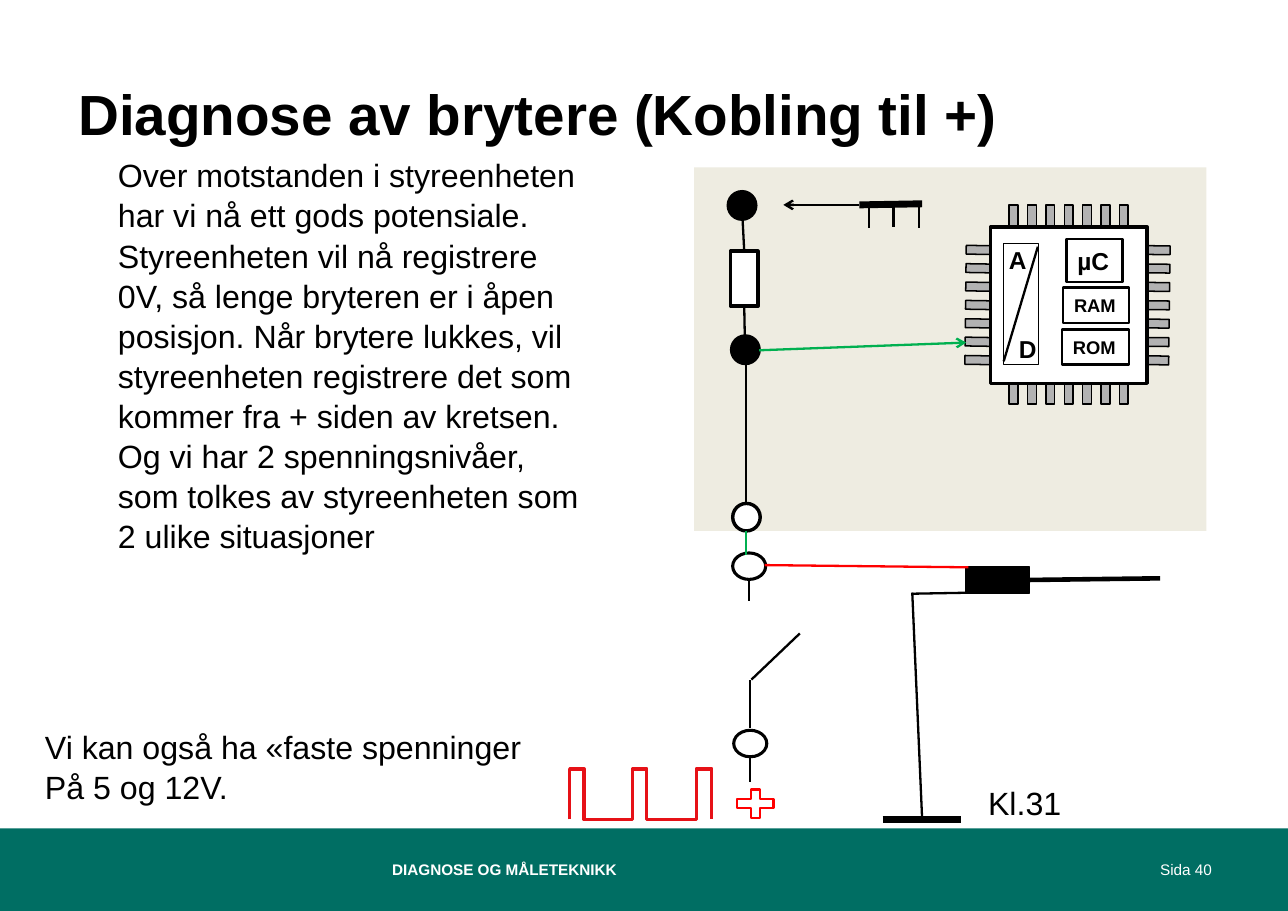
import pptx
import pptx.util
import pptx.dml.color
import pptx.enum.shapes
import pptx.enum.text
import lxml.etree

SHAPE = pptx.enum.shapes.MSO_SHAPE
ALIGN = pptx.enum.text.PP_ALIGN
ANCHOR = pptx.enum.text.MSO_ANCHOR
A = "{http://schemas.openxmlformats.org/drawingml/2006/main}"

# Content; one grid column or row is one inch
COLS, ROWS = 11.69, 8.27
TITLE = "Diagnose av brytere (Kobling til +)"
BODY = [
    "Over motstanden i styreenheten har vi nå ett gods potensiale.",
    "Styreenheten vil nå registrere 0V, så lenge bryteren er i åpen posisjon. "
    "Når brytere lukkes, vil styreenheten registrere det som kommer fra + siden "
    "av kretsen. Og vi har 2 spenningsnivåer, som tolkes av styreenheten som "
    "2 ulike situasjoner",
]
NOTE = ["Vi kan også ha «faste spenninger", "På 5 og 12V."]
FOOTER = "DIAGNOSE OG MÅLETEKNIKK"
PAGE = "Sida 40"
GROUND = "Kl.31"

THEME = {
    "font": "Arial", "ink": "000000", "paper": "FFFFFF", "band": "006E63",
    "panel": "EEECE1", "pin": "B2B2B2", "pulse": "E61117", "plus": "FF0000",
    "signal": "00B050",
    "title": 37, "text": 21, "chip": 16, "memory": 12, "footer": 10,
}

CHIP_BOXES = [  # box, line width, text, type size
    ((8.99, 2.06, 1.42, 1.42), 2.25, "", "chip"),
    ((9.11, 2.21, 0.32, 1.1), 0.75, "", "chip"),
    ((9.68, 2.17, 0.51, 0.39), 1.5, "µC", "chip"),
    ((9.65, 2.61, 0.6, 0.32), 1.5, "RAM", "memory"),
    ((9.64, 2.99, 0.61, 0.32), 1.5, "ROM", "memory"),
]
CHIP_LETTERS = [("A", (9.06, 2.18, 0.4, 0.37)), ("D", (9.15, 2.98, 0.3, 0.37))]
PINS, PIN_STEP, PIN_W, PIN_H = 7, 1 / 6, 0.08, 0.42
PIN_ROWS = [1.86, 3.25]
PIN_SIDES = [(10.37, 270.7), (8.94, 270.9)]

TERMINALS = [  # box, fill, line width
    ((6.61, 1.74, 0.25, 0.25), "ink", 2.25),
    ((6.64, 3.05, 0.25, 0.25), "ink", 2.25),
    ((6.65, 4.57, 0.25, 0.25), "paper", 2.25),
    ((6.65, 5.02, 0.3, 0.24), "paper", 2),
    ((6.66, 6.63, 0.3, 0.24), "paper", 2),
]
RESISTOR = (6.63, 2.28, 0.25, 0.5)
SENSOR = (8.76, 5.14, 0.58, 0.25)
WIRES = [  # from, to, colour, width, arrow
    ((6.77, 3.31), (6.77, 4.57), "ink", 1.5, False),
    ((8.01, 7.44), (8.72, 7.44), "ink", 4.5, False),
    ((6.81, 6.86), (6.81, 7.1), "ink", 1.5, False),
    ((8.83, 5.38), (8.28, 5.39), "ink", 1.5, False),
    ((8.79, 5.15), (6.94, 5.13), "plus", 1.5, False),
    ((8.28, 5.38), (8.37, 7.44), "ink", 1.5, False),
    ((6.89, 3.18), (8.77, 3.11), "signal", 1.5, True),
    ((6.77, 4.82), (6.77, 5.04), "signal", 1.5, False),
    ((7.8, 1.86), (7.11, 1.86), "ink", 1.5, True),
    ((6.81, 6.61), (6.81, 6.17), "ink", 1.5, False),
    ((6.82, 6.17), (7.26, 5.75), "ink", 1.5, False),
    ((6.8, 5.25), (6.8, 5.46), "ink", 1.5, False),
    ((7.8, 1.86), (8.37, 1.85), "ink", 4.5, False),
    ((8.11, 2.06), (8.11, 1.85), "ink", 1.5, False),
    ((7.89, 1.84), (7.89, 2.07), "ink", 1.5, False),
    ((8.34, 1.86), (8.34, 2.07), "ink", 1.5, False),
]
PULSES = [(5.17, 5.3), (5.74, 5.87), (6.32, 6.46)]
PULSE_TOP, PULSE_BASE = 6.98, 7.44


def grid(values):
    return [pptx.util.Inches(v) for v in values]


def rgb(name):
    return pptx.dml.color.RGBColor.from_string(THEME[name])


def put_text(sp, lines, size, color="ink", bold=False, align=ALIGN.LEFT,
             anchor=ANCHOR.TOP, spacing=1.0, insets=(0.1, 0.05, 0.1, 0.05)):
    tf = sp.text_frame
    left, top, right, bottom = grid(insets)
    frame = {"word_wrap": True, "vertical_anchor": anchor, "margin_left": left,
             "margin_top": top, "margin_right": right, "margin_bottom": bottom,
             "auto_size": pptx.enum.text.MSO_AUTO_SIZE.NONE}
    for name, value in frame.items():
        setattr(tf, name, value)
    for i, line in enumerate(lines):
        p = tf.add_paragraph() if i else tf.paragraphs[0]
        pPr = p._p.get_or_add_pPr()
        pPr.set("marL", "0")
        pPr.set("indent", "0")
        lxml.etree.SubElement(pPr, A + "buNone")
        layout = {"alignment": align, "line_spacing": spacing,
                  "space_before": pptx.util.Pt(0)}
        for name, value in layout.items():
            setattr(p, name, value)
        r = p.add_run()
        r.text = line
        font = {"name": THEME["font"], "size": pptx.util.Pt(THEME[size]), "bold": bold}
        for name, value in font.items():
            setattr(r.font, name, value)
        r.font.color.rgb = rgb(color)


def add_text(shapes, box, lines, size, **style):
    put_text(shapes.add_textbox(*grid(box)), lines, size, **style)


def set_line(line, color, width):
    line.color.rgb = rgb(color)
    line.width = pptx.util.Pt(width)


def add_figure(shapes, kind, box, fill=None, line=None, width=1.0):
    sp = shapes.add_shape(kind, *grid(box))
    sp.shadow.inherit = False
    if fill:
        sp.fill.solid()
        sp.fill.fore_color.rgb = rgb(fill)
    else:
        sp.fill.background()
    if line:
        set_line(sp.line, line, width)
    else:
        sp.line.fill.background()
    return sp


def add_wire(shapes, start, end, color="ink", width=1.5, arrow=False):
    wire = shapes.add_connector(pptx.enum.shapes.MSO_CONNECTOR.STRAIGHT,
                                *grid(start + end))
    set_line(wire.line, color, width)
    if arrow:
        lxml.etree.SubElement(wire.line._get_or_add_ln(), A + "tailEnd", type="arrow")
    lxml.etree.SubElement(wire._element.spPr, A + "effectLst")
    return wire


def add_chip(shapes):
    chip = shapes.add_group_shape().shapes
    pins = [(9.16 + i * PIN_STEP, y, 0) for y in PIN_ROWS for i in range(PINS)]
    pins += [(x - i / 500, 2.06 + i * PIN_STEP, turn)
             for x, turn in PIN_SIDES for i in range(PINS)]
    for x, y, turn in pins:
        pin = add_figure(chip, SHAPE.RECTANGLE, (x, y, PIN_W, PIN_H), "pin", "ink")
        pin.rotation = turn
    for box, width, text, size in CHIP_BOXES:
        sp = add_figure(chip, SHAPE.RECTANGLE, box, "paper", "ink", width)
        if text:
            put_text(sp, [text], size, bold=True, anchor=ANCHOR.MIDDLE,
                     insets=(0.1, 0.05, 0, 0.05))
    for letter, box in CHIP_LETTERS:
        add_text(chip, box, [letter], "chip", bold=True, insets=(0.1, 0.05, 0, 0.05))
    add_wire(chip, (9.42, 2.24), (9.11, 3.28))


def add_pulses(shapes):
    points = [pt for up, down in PULSES
              for pt in ((up, PULSE_BASE), (up, PULSE_TOP),
                         (down, PULSE_TOP), (down, PULSE_BASE))]
    points = [tuple(grid(pt)) for pt in points]
    outline = shapes.build_freeform(*points[0], scale=1.0)
    outline.add_line_segments(points[1:], close=False)
    sp = outline.convert_to_shape()
    sp.shadow.inherit = False
    sp.fill.background()
    set_line(sp.line, "pulse", 2.25)


def place(sp, box):
    for name, value in zip(("left", "top", "width", "height"), grid(box)):
        setattr(sp, name, value)


def main():
    prs = pptx.Presentation()
    prs.slide_width, prs.slide_height = grid((COLS, ROWS))
    s = prs.slides.add_slide(prs.slide_layouts[1])
    shapes = s.shapes
    title, body = s.placeholders
    edge = (0.11, 0.06, 0.11, 0.06)

    place(title, (0.6, 0.66, 10.51, 1.13))
    put_text(title, [TITLE], "title", bold=True, insets=edge)
    place(body, (0.97, 1.35, 4.49, 3.64))
    put_text(body, BODY, "text", spacing=1.04)

    band = {"color": "paper", "anchor": ANCHOR.MIDDLE, "insets": edge}
    add_figure(shapes, SHAPE.RECTANGLE, (0, 7.52, COLS, 0.75), "band")
    add_text(shapes, (9.35, 7.52, 1.76, 0.75), [PAGE], "footer",
             align=ALIGN.RIGHT, **band)
    add_text(shapes, (3.45, 7.52, 6.63, 0.75), [FOOTER], "footer", bold=True, **band)

    add_pulses(shapes)
    add_figure(shapes, SHAPE.RECTANGLE, (6.3, 1.52, 4.65, 3.3), "panel")
    add_chip(shapes)
    for box, fill, width in TERMINALS:
        add_figure(shapes, SHAPE.OVAL, box, fill, "ink", width)
    resistor = add_figure(shapes, SHAPE.RECTANGLE, RESISTOR, "paper", "ink", 2.25)
    sensor = add_figure(shapes, SHAPE.RECTANGLE, SENSOR, "ink", "ink", 0.75)
    add_wire(shapes, (6.74, 1.99), (6.74, 2.28)).end_connect(resistor, 0)
    add_wire(shapes, (6.76, 3.05), (6.75, 2.78)).end_connect(resistor, 2)
    add_wire(shapes, (10.53, 5.25), (9.34, 5.25), width=3).end_connect(sensor, 3)
    for wire in WIRES:
        add_wire(shapes, *wire)
    add_figure(shapes, SHAPE.MATH_PLUS, (6.63, 7.12, 0.45, 0.35), None, "plus", 1.5)

    add_text(shapes, (8.87, 7.05, 0.87, 0.45), [GROUND], "text", spacing=1.04,
             insets=(0.1, 0.05, 0, 0.05))
    add_text(shapes, (0.31, 6.54, 4.56, 0.81), NOTE, "text", spacing=1.04)
    prs.save("out.pptx")


if __name__ == "__main__":
    main()
